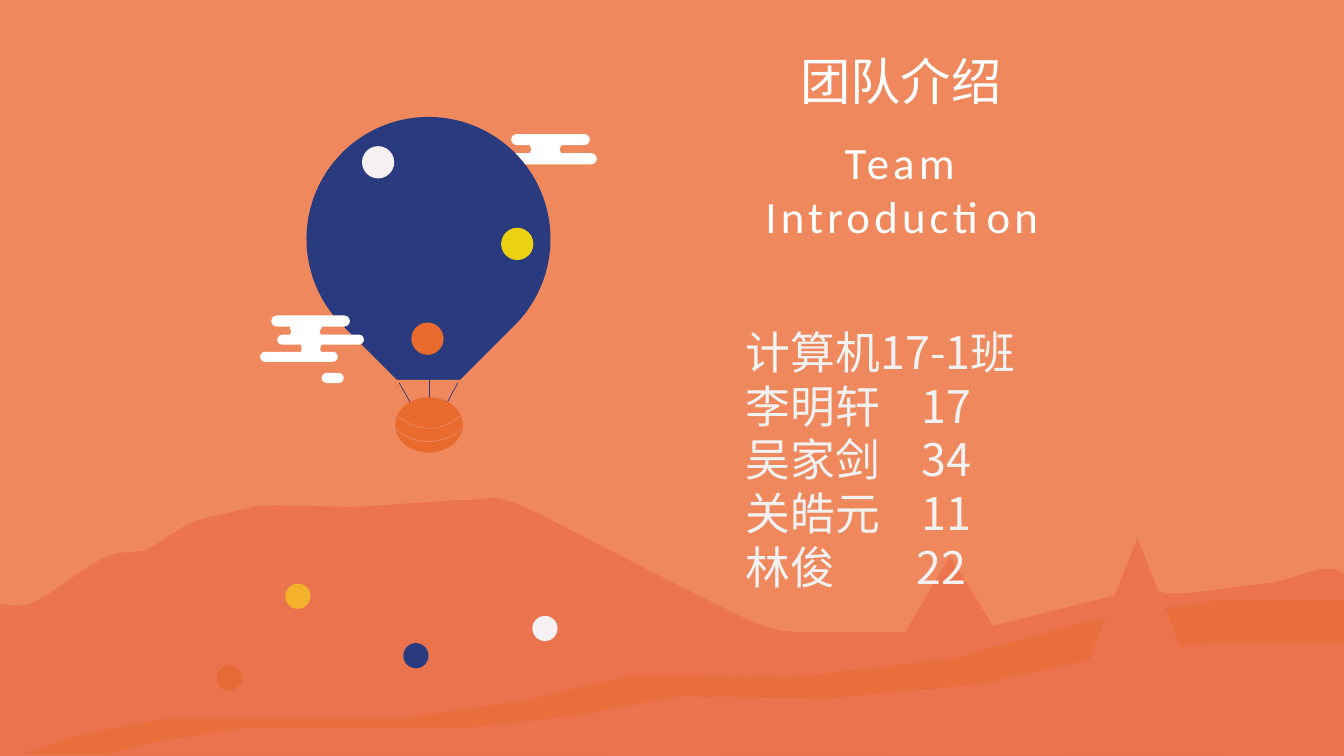
from lxml import etree
from pptx import Presentation
from pptx import util as u
from pptx.dml.color import RGBColor
from pptx.enum import shapes, text
from pptx.oxml import ns

SKY = RGBColor(0xEF, 0x88, 0x5D)
HILL = RGBColor(0xEB, 0x73, 0x4E)
ROAD = RGBColor(0xE8, 0x6F, 0x3D)
ORANGE = RGBColor(0xE8, 0x6A, 0x2D)
RUST = RGBColor(0xE5, 0x6B, 0x36)
NAVY = RGBColor(0x2A, 0x3A, 0x7E)
AMBER = RGBColor(0xF4, 0xB1, 0x2B)
YELLOW = RGBColor(0xEC, 0xD0, 0x12)
PALE = RGBColor(0xF5, 0xF0, 0xF1)
SOFT = RGBColor(0xF2, 0xF2, 0xF2)
WHITE = RGBColor(0xFF, 0xFF, 0xFF)
CHINESE = "Noto Sans CJK SC"
KIND = shapes.MSO_SHAPE

HILLS = [
    (4.88, 4.94), (4.98, 4.94, 5.1, 4.98, 5.35, 5.1), (6.85, 5.87),
    (7.28, 6.07, 7.56, 6.27, 7.92, 6.27), (8.98, 6.27), (9.42, 5.52),
    (9.85, 6.21), (11.08, 5.9), (11.27, 5.48), (11.5, 5.87),
    (11.71, 5.93, 12.23, 5.81, 12.54, 5.79),
    (12.85, 5.77, 13.24, 5.48, 13.38, 5.77), (13.38, 7.52), (-0.08, 7.5),
    (-0.02, 7.5), (-0.02, 6), (0, 5.99), (0.06, 5.99, 0.14, 6.02, 0.25, 6),
    (0.43, 5.97, 0.82, 5.63, 1.02, 5.54), (1.22, 5.45, 1.3, 5.49, 1.44, 5.46),
    (1.6, 5.39, 1.82, 5.19, 2, 5.15), (2.54, 5.02),
    (2.82, 5, 3.37, 5.04, 3.67, 5.02), (4.56, 4.96),
    (4.7, 4.97, 4.78, 4.94, 4.88, 4.94),
]
ROAD_OUTLINE = [
    (0.23, 7.48), (0.78, 7.29), (1.63, 7.13), (2.57, 7.13), (3.95, 7.13),
    (5.2, 6.95), (6.29, 6.69), (7.85, 6.72), (9.47, 6.53), (10.74, 6.17),
    (12.01, 5.96), (13.37, 5.96), (13.4, 7.5),
]
FOREGROUND = [
    (11.28, 5.34), (11.71, 6.42), (12.1, 6.38), (13.37, 6.38), (13.4, 7.5),
    (1.08, 7.48), (1.6, 7.35), (2.4, 7.23), (3.27, 7.23), (4.56, 7.23),
    (5.73, 7.1), (6.75, 6.91), (8.21, 6.93), (9.73, 6.79), (10.8, 6.55),
]
CLOUD_WAIST = [
    (0.02, 0.06), (0.02, 0.03, -0.02, 0.01, 0.03, 0),
    (0.07, -0.01, 0.26, -0.01, 0.31, 0), (0.35, 0.01, 0.3, 0.04, 0.3, 0.06),
    (0.3, 0.08, 0.34, 0.11, 0.29, 0.12), (0.25, 0.13, 0.07, 0.13, 0.03, 0.12),
    (-0.02, 0.11, 0.02, 0.08, 0.02, 0.06),
]
MEMBERS = [("计算机17-1班", None), ("李明轩\t17", 1.74), ("吴家剑\t34", 1.74),
           ("关皓元\t11", 1.74), ("林俊\t22", 1.69)]


class Scene:
    frame_format = {
        "word_wrap": True,
        "auto_size": text.MSO_AUTO_SIZE.SHAPE_TO_FIT_TEXT,
        "vertical_anchor": text.MSO_ANCHOR.TOP,
    }

    def __init__(self, deck):
        self.page = deck.slides.add_slide(deck.slide_layouts[6])
        self.page.background.fill.solid()
        self.page.background.fill.fore_color.rgb = SKY

    def paint(self, shape, color):
        shape.shadow.inherit = False
        shape.line.fill.background()
        shape.fill.solid()
        shape.fill.fore_color.rgb = color
        return shape

    def shape(self, kind, left, top, width, height, color, rotation=0):
        box = self.page.shapes.add_shape(
            kind, *map(u.Inches, (left, top, width, height)))
        box.rotation = rotation
        return self.paint(box, color)

    def dot(self, left, top, size, color):
        self.shape(KIND.OVAL, left, top, size, size, color)

    def cloud_bar(self, left, top, width, height):
        bar = self.shape(KIND.ROUNDED_RECTANGLE, left, top, width, height, WHITE)
        bar.adjustments[0] = 0.5

    def outline(self, steps, color, left=0, top=0, stretch=1):
        points = [(u.Inches(left + x * stretch), u.Inches(top + y))
                  for step in steps for x, y in zip(step[::2], step[1::2])]
        builder = self.page.shapes.build_freeform(*points[0])
        builder.add_line_segments(points[1:], close=True)
        shape = self.paint(builder.convert_to_shape(), color)
        segments = iter(list(shape._element.iter(ns.qn("a:lnTo"))))
        for step in steps[1:]:
            first = next(segments)
            if len(step) == 6:
                curve = etree.Element(ns.qn("a:cubicBezTo"))
                first.addprevious(curve)
                for segment in (first, next(segments), next(segments)):
                    curve.append(segment[0])
                    segment.getparent().remove(segment)

    def rope(self, x1, y1, x2, y2):
        line = self.page.shapes.add_connector(
            shapes.MSO_CONNECTOR.STRAIGHT, *map(u.Inches, (x1, y1, x2, y2)))
        line.line.color.rgb = NAVY
        line.line.width = u.Pt(0.5)
        etree.SubElement(line._element.spPr, ns.qn("a:effectLst"))
        return line

    def seam(self, left, top, size, angles):
        arc = self.shape(KIND.ARC, left, top, size, size, SKY, 44.7)
        arc.fill.background()
        arc.line.color.rgb = SKY
        arc.line.width = u.Pt(0.5)
        arc._element.spPr.xfrm.set("flipV", "1")
        for index, angle in enumerate(angles):
            arc.adjustments[index] = angle

    def text(self, left, top, width, height, lines, size, color, font,
             align=text.PP_ALIGN.LEFT, spacing=None):
        box = self.page.shapes.add_textbox(
            *map(u.Inches, (left, top, width, height)))
        frame = box.text_frame
        for name, value in self.frame_format.items():
            setattr(frame, name, value)
        for index, (line, tab) in enumerate(lines):
            para = frame.paragraphs[0] if index == 0 else frame.add_paragraph()
            para.alignment = align
            if tab:
                stops = etree.SubElement(para._p.get_or_add_pPr(), ns.qn("a:tabLst"))
                etree.SubElement(stops, ns.qn("a:tab"), pos=str(u.Inches(tab)), algn="l")
            span = para.add_run()
            span.text = line
            for name, value in {"size": u.Pt(size), "name": font}.items():
                setattr(span.font, name, value)
            span.font.color.rgb = color
            properties = span._r.get_or_add_rPr()
            etree.SubElement(properties, ns.qn("a:ea"), typeface=font)
            if spacing:
                properties.set("spc", str(spacing * 100))


def main():
    deck = Presentation()
    deck.slide_width, deck.slide_height = u.Inches(13.33), u.Inches(7.5)
    scene = Scene(deck)

    scene.cloud_bar(5.07, 1.33, 0.78, 0.11)
    scene.cloud_bar(4.96, 1.52, 0.96, 0.11)
    scene.outline(CLOUD_WAIST, WHITE, 5.25, 1.42)

    scene.outline(HILLS, HILL)
    scene.outline(ROAD_OUTLINE, ROAD)
    for left, top, color in [(2.15, 6.6, RUST), (4, 6.38, NAVY),
                             (2.83, 5.79, AMBER), (5.28, 6.11, PALE)]:
        scene.dot(left, top, 0.25, color)

    scene.shape(KIND.TEAR, 3.04, 1.16, 2.42, 2.42, NAVY, 135)
    gap = scene.shape(KIND.RECTANGLE, 3.31, 3.77, 1.89, 0.33, SKY)
    scene.rope(3.96, 3.8, 4.09, 4.03)
    middle_rope = scene.rope(4.25, 3.77, 4.25, 3.94)
    scene.rope(4.54, 3.8, 4.41, 4.04)
    basket = scene.shape(KIND.OVAL, 3.92, 3.94, 0.67, 0.55, ORANGE)
    middle_rope.begin_connect(gap, 0)
    middle_rope.end_connect(basket, 0)
    scene.seam(3.81, 3.36, 0.89, ())
    scene.seam(3.75, 3.38, 1, (164.82, 213.28))
    for left, top, color in [(3.59, 1.45, PALE), (4.08, 3.2, ORANGE),
                             (4.97, 2.26, YELLOW)]:
        scene.dot(left, top, 0.32, color)

    scene.text(7.62, 0.45, 2.63, 0.71, [("团队介绍", None)], 36, WHITE, CHINESE,
               text.PP_ALIGN.CENTER)
    scene.text(6.87, 1.29, 4.15, 0.64, [("Team Introduction", None)], 32, WHITE,
               "Calibri", text.PP_ALIGN.CENTER, spacing=3)

    for bar in [(3.19, 3.7, 0.22, 0.1), (2.69, 3.13, 0.78, 0.11),
                (2.75, 3.32, 0.86, 0.1), (2.58, 3.49, 0.77, 0.1)]:
        scene.cloud_bar(*bar)
    scene.outline(CLOUD_WAIST, WHITE, 2.87, 3.23)
    scene.outline(CLOUD_WAIST, WHITE, 2.98, 3.4, 0.65)

    scene.outline(FOREGROUND, HILL)
    scene.text(7.3, 3.17, 3.62, 2.79, MEMBERS, 32, SOFT, CHINESE)

    deck.save("out.pptx")


if __name__ == "__main__":
    main()
